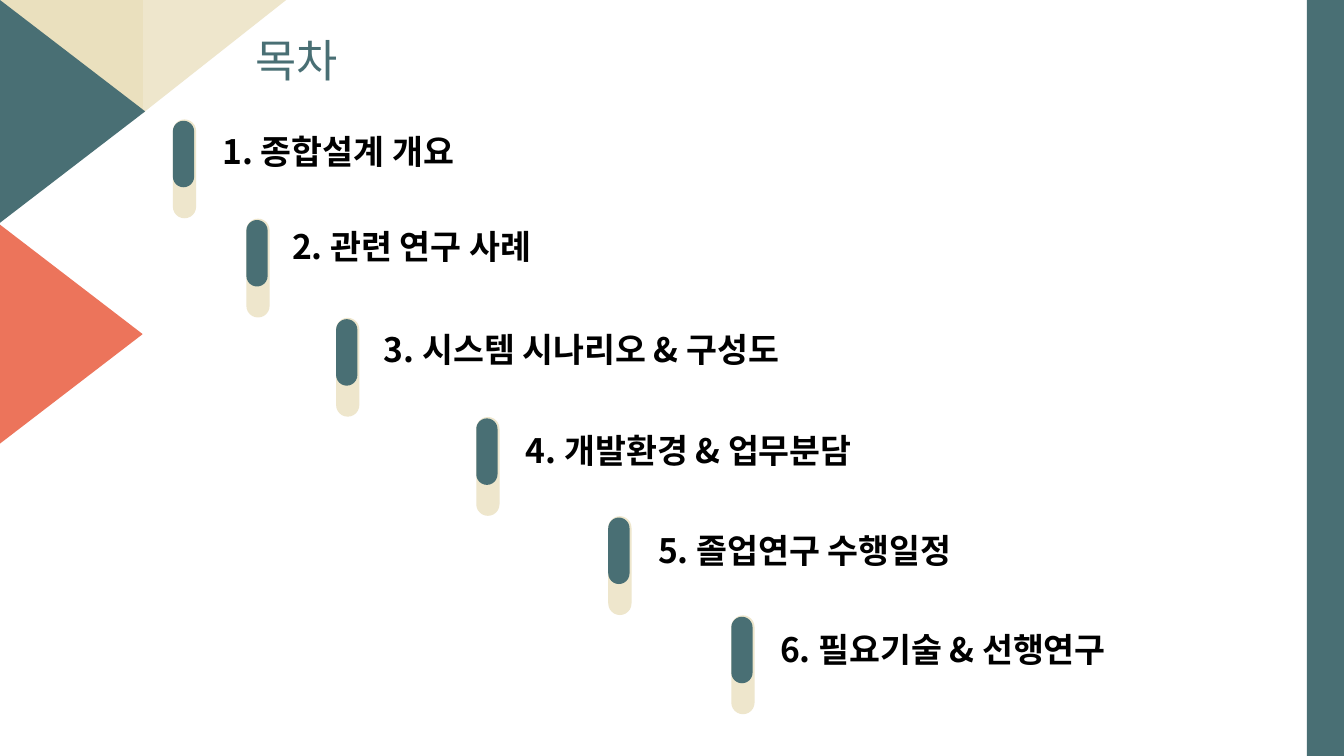
from dataclasses import dataclass

from pptx import Presentation
from pptx.dml.color import RGBColor
from pptx.enum import shapes, text
from pptx.oxml.ns import qn
from pptx.util import Pt


@dataclass(frozen=True)
class Theme:
    font: str = "Noto Sans CJK KR"
    teal: str = "496F74"
    coral: str = "EC745B"
    sand: str = "EAE0BE"
    cream: str = "EEE6CC"
    black: str = "000000"
    title_size: int = 32
    item_size: int = 24


THEME = Theme()
KIND = shapes.MSO_SHAPE
PAGE_WIDTH, PAGE_HEIGHT = 960, 540
FIRST_TOP, ROW_STEP = 85.3, 70.85

# Label, marker left, label left, label top, label width
AGENDA = [
    ("1. 종합설계 개요", 123.5, 151.9, 90, 255.6),
    ("2. 관련 연구 사례", 176, 201.6, 157.7, 402.5),
    ("3. 시스템 시나리오 & 구성도", 240.1, 267.1, 231.1, 423.4),
    ("4. 개발환경 & 업무분담", 340.2, 368.6, 303.8, 272.9),
    ("5. 졸업연구 수행일정", 434.5, 463, 375.1, 337),
    ("6. 필요기술 & 선행연구", 522.4, 550.1, 445.7, 290.9),
]


def add_block(page, kind, left, top, width, height, color, rotation=0):
    """Add a plain filled shape whose box is given as seen after rotation."""
    middle_x, middle_y = left + width / 2, top + height / 2
    if rotation % 180:
        width, height = height, width
    block = page.shapes.add_shape(
        kind, Pt(middle_x - width / 2), Pt(middle_y - height / 2), Pt(width), Pt(height))
    block.rotation = rotation
    block.shadow.inherit = False
    block.fill.solid()
    block.fill.fore_color.rgb = RGBColor.from_string(color)
    block.line.fill.background()
    return block


def format_text(para, size, color, bold):
    for span in para.runs:
        span.font.size = Pt(size)
        span.font.bold = bold
        span.font.name = THEME.font
        span.font.color.rgb = RGBColor.from_string(color)
        east_asian = span.font._element.makeelement(qn("a:ea"), {"typeface": THEME.font})
        span.font._element.find(qn("a:latin")).addnext(east_asian)


def add_decoration(page):
    add_block(page, KIND.RIGHT_TRIANGLE, 0, 0, 102.2, 80.6, THEME.sand, 180)
    add_block(page, KIND.RIGHT_TRIANGLE, 102.2, 0, 102.2, 80.6, THEME.cream, 90)
    add_block(page, KIND.ISOSCELES_TRIANGLE, 0, 0, 103.7, 159.1, THEME.teal, 90)
    add_block(page, KIND.ISOSCELES_TRIANGLE, -1.8, 159.1, 103.7, 159.1, THEME.coral, 90)
    add_block(page, KIND.RECTANGLE, 933.5, 0, PAGE_WIDTH - 933.5, PAGE_HEIGHT, THEME.teal)


def set_title(page, words):
    title = page.shapes.title
    title.left, title.top, title.width, title.height = Pt(175), Pt(23.8), Pt(136), Pt(42.5)
    frame = title.text_frame
    frame.text = words
    frame.auto_size = text.MSO_AUTO_SIZE.NONE
    frame.vertical_anchor = text.MSO_ANCHOR.MIDDLE
    para = frame.paragraphs[0]
    para.alignment = text.PP_ALIGN.LEFT
    para.line_spacing = 0.9
    para.space_before = Pt(10)
    format_text(para, THEME.title_size, THEME.teal, False)


def add_marker(page, left, top):
    for offset, width, height, color in ((0, 16.6, 70.6, THEME.cream),
                                         (1, 15.2, 47.5, THEME.teal)):
        pill = add_block(page, KIND.ROUNDED_RECTANGLE, left, top + offset, width, height, color)
        pill.adjustments[0] = 0.5


def add_label(page, words, left, top, width):
    box = page.shapes.add_textbox(Pt(left), Pt(top), Pt(width), Pt(36))
    box.text_frame.word_wrap = True
    box.text_frame.text = words
    format_text(box.text_frame.paragraphs[0], THEME.item_size, THEME.black, True)


def main():
    deck = Presentation()
    deck.slide_width, deck.slide_height = Pt(PAGE_WIDTH), Pt(PAGE_HEIGHT)
    page = deck.slides.add_slide(deck.slide_layouts.get_by_name("Title Only"))
    add_decoration(page)
    set_title(page, "목차")
    for row, (words, marker_left, label_left, label_top, width) in enumerate(AGENDA):
        add_marker(page, marker_left, FIRST_TOP + row * ROW_STEP)
        add_label(page, words, label_left, label_top, width)
    deck.save("out.pptx")


if __name__ == "__main__":
    main()
